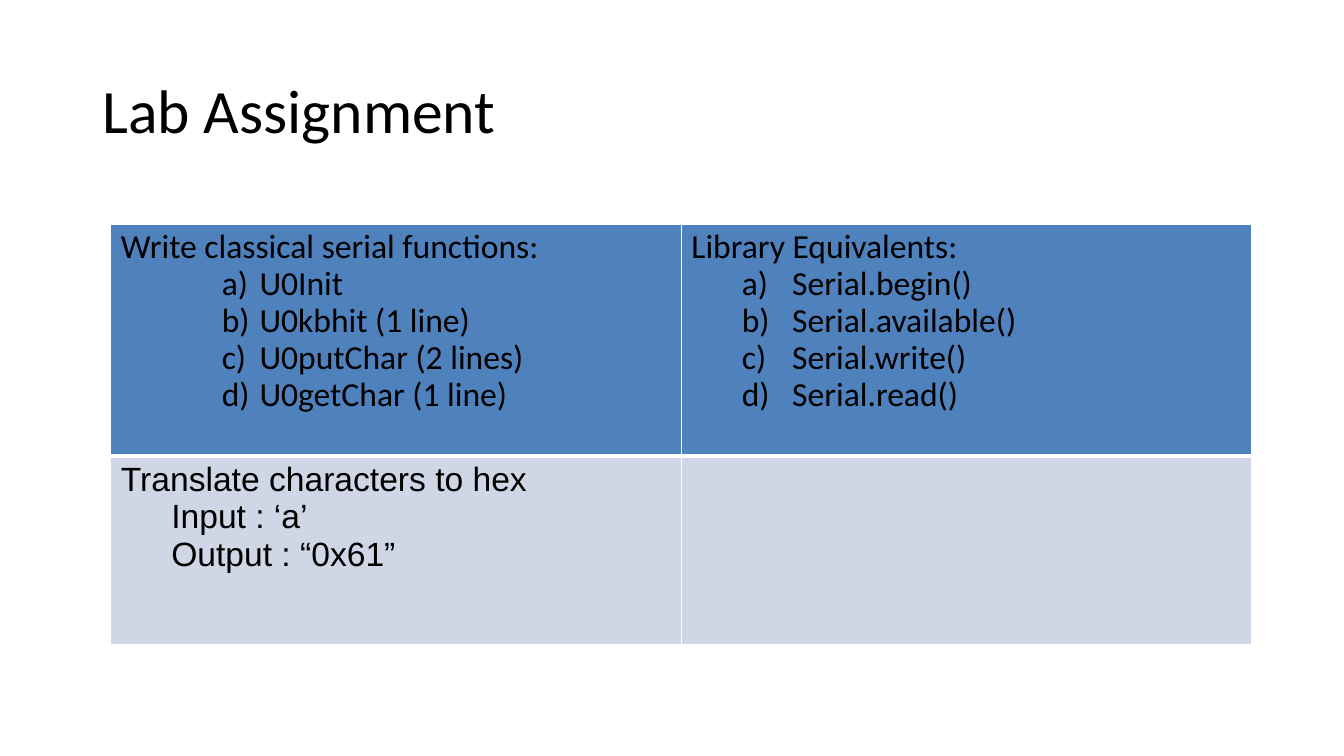
import pptx
import pptx.util
import pptx.dml.color
import pptx.enum.text
import pptx.oxml
import pptx.oxml.ns

Pt = pptx.util.Pt
BLACK = pptx.dml.color.RGBColor(0x00, 0x00, 0x00)
WHITE = pptx.dml.color.RGBColor(0xFF, 0xFF, 0xFF)
BLUE = pptx.dml.color.RGBColor(0x4F, 0x81, 0xBD)
PALE = pptx.dml.color.RGBColor(0xCF, 0xD7, 0xE7)
NS = pptx.oxml.ns.nsdecls("a")


class Deck:
    """Holds the text style and the current slide."""

    def __init__(self, s):
        self.s = s
        self.color = BLACK

    def add_text(self, p, text, size, font, spacing=None):
        if spacing:
            p.line_spacing = spacing
        r = p.add_run()
        r.text = text
        r.font.size = Pt(size)
        r.font.name = font
        r.font.bold = False
        r.font.color.rgb = self.color

    def indent(self, p, left, hanging=0, level=0, lettered=False):
        p.level = level
        pPr = p._p.get_or_add_pPr()
        pPr.set("marL", str(Pt(left)))
        pPr.set("indent", str(Pt(-hanging)))
        if lettered:
            for xml in (
                f'<a:buClr {NS}><a:srgbClr val="{self.color}"/></a:buClr>',
                f'<a:buFont {NS} typeface="+mj-lt"/>',
                f'<a:buAutoNum {NS} type="alphaLcParenR"/>',
            ):
                pPr.append(pptx.oxml.parse_xml(xml))

    def title(self, text, x, y, w, h):
        tf = self.s.shapes.add_textbox(Pt(x), Pt(y), Pt(w), Pt(h)).text_frame
        tf.word_wrap = True
        tf.vertical_anchor = pptx.enum.text.MSO_ANCHOR.MIDDLE
        self.add_text(tf.paragraphs[0], text, 44, "Calibri", 0.9)

    def table(self, x, y, col_width, heights, fills, bottoms):
        tbl = self.s.shapes.add_table(
            len(heights), 2, Pt(x), Pt(y), Pt(2 * col_width), Pt(sum(heights))
        ).table
        tbl.first_row = tbl.horz_banding = False
        for col in tbl.columns:
            col.width = Pt(col_width)
        for i, height in enumerate(heights):
            tbl.rows[i].height = Pt(height)
            top = bottoms[i - 1] if i else 1
            for cell in tbl.rows[i].cells:
                cell.fill.solid()
                cell.fill.fore_color.rgb = fills[i]
                self.borders(cell, {"L": 1, "R": 1, "T": top, "B": bottoms[i]})
        return tbl

    def borders(self, cell, widths):
        tcPr = cell._tc.get_or_add_tcPr()
        for i, (side, width) in enumerate(widths.items()):
            tcPr.insert(i, pptx.oxml.parse_xml(
                f'<a:ln{side} {NS} w="{Pt(width)}"><a:solidFill>'
                f'<a:srgbClr val="{WHITE}"/></a:solidFill></a:ln{side}>'
            ))

    def listing(self, cell, heading, items, font, spacing=None, **indent):
        tf = cell.text_frame
        self.add_text(tf.paragraphs[0], heading, 24, font, spacing)
        for item in items:
            p = tf.add_paragraph()
            self.add_text(p, item, 24, font, spacing)
            self.indent(p, **indent)


def main():
    prs = pptx.Presentation()
    prs.slide_width, prs.slide_height = Pt(960), Pt(540)
    deck = Deck(prs.slides.add_slide(prs.slide_layouts[6]))
    deck.title("Lab Assignment", 66, 28.8, 828, 104.4)
    tbl = deck.table(79.2, 160, 407.5, (165.6, 135.2), (BLUE, PALE), (3, 1))
    deck.listing(
        tbl.cell(0, 0), "Write classical serial functions:",
        ("U0Init", "U0kbhit (1 line)", "U0putChar (2 lines)", "U0getChar (1 line)"),
        "Calibri", 0.9, left=99, hanging=27, level=2, lettered=True,
    )
    deck.listing(
        tbl.cell(0, 1), "Library Equivalents:",
        ("Serial.begin()", "Serial.available()", "Serial.write()", "Serial.read()"),
        "Calibri", 0.9, left=72, hanging=36, level=1, lettered=True,
    )
    deck.listing(
        tbl.cell(1, 0), "Translate characters to hex",
        ("Input : ‘a’", "Output : “0x61”"), "Arial", left=36,
    )
    prs.save("out.pptx")


if __name__ == "__main__":
    main()
